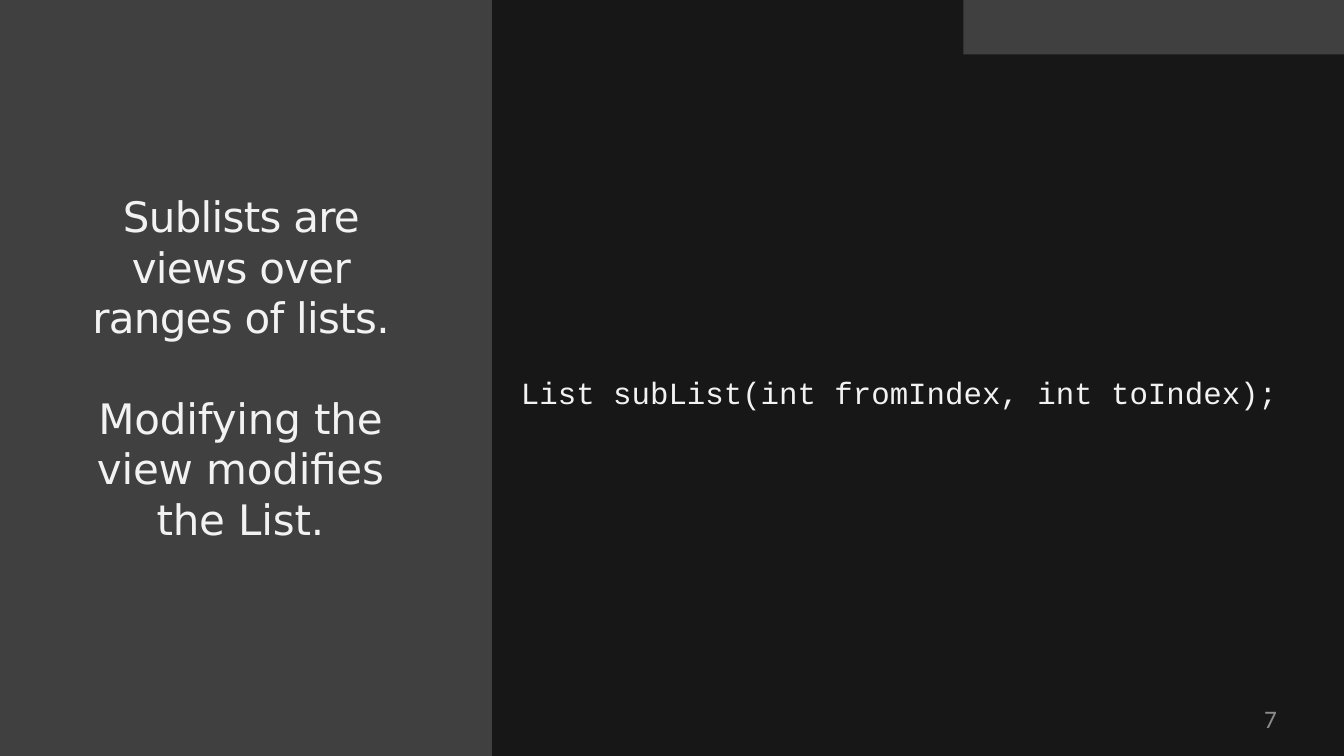
from pptx import Presentation
from pptx.dml.color import RGBColor
from pptx.enum.shapes import MSO_SHAPE as Shape
from pptx.enum.text import MSO_ANCHOR as Anchor, MSO_AUTO_SIZE as Fit, PP_ALIGN as Align
from pptx.util import Cm, Pt

WIDE, HIGH = 33.87, 19.05
GREY = RGBColor(0x40, 0x40, 0x40)
DARK = RGBColor(0x17, 0x17, 0x17)
PALE = RGBColor(0xF2, 0xF2, 0xF2)
DIM = RGBColor(0x8C, 0x8C, 0x8C)

NOTE = {"name": "DejaVu Sans", "size": Pt(30)}
CODE = {"name": "Courier New", "size": Pt(22)}
PAGE = {"name": "Calibri", "size": Pt(18)}


def paint(shape, color):
    shape.shadow.inherit = False
    shape.fill.solid()
    shape.fill.fore_color.rgb = color
    shape.line.fill.background()


def add_back(slide):
    back = slide.shapes.add_shape(Shape.RECTANGLE, 0, 0, Cm(WIDE), Cm(HIGH))
    paint(back, GREY)


def add_panel(slide):
    """Draw the dark panel, notched at its top right."""
    left, notch, step = 12.4, 24.28, 1.37
    spots = [(notch, step), (notch, 0), (left, 0), (left, HIGH), (WIDE, HIGH)]
    form = slide.shapes.build_freeform(Cm(WIDE), Cm(step))
    form.add_line_segments([(Cm(x), Cm(y)) for x, y in spots])
    paint(form.convert_to_shape(), DARK)


def set_text(shape, text, look, color=PALE, align=Align.LEFT, pad=0, track=0):
    """Fill a box; track is the letter spacing in points."""
    frame = shape.text_frame
    form = {
        "word_wrap": True,
        "auto_size": Fit.NONE,
        "vertical_anchor": Anchor.TOP,
        "margin_left": Cm(pad),
        "margin_right": Cm(pad),
        "margin_top": Cm(0.03),
        "margin_bottom": 0,
    }
    for key, value in form.items():
        setattr(frame, key, value)
    para = frame.paragraphs[0]
    para.alignment = align
    para.space_before = Pt(0)
    run = para.add_run()
    run.text = text
    for key, value in look.items():
        setattr(run.font, key, value)
    run.font.color.rgb = color
    if track:
        run._r.get_or_add_rPr().set("spc", str(round(track * 100)))


def add_text(slide, place, text, look, **more):
    box = slide.shapes.add_textbox(*map(Cm, place))
    set_text(box, text, look, **more)


def add_title(slide, place, text, look, **more):
    title = slide.shapes.title
    for key, value in zip(("left", "top", "width", "height"), place):
        setattr(title, key, Cm(value))
    set_text(title, text, look, **more)
    slide.shapes._spTree.append(title._element)


def main():
    deck = Presentation()
    deck.slide_width, deck.slide_height = Cm(WIDE), Cm(HIGH)
    slide = deck.slides.add_slide(deck.slide_layouts[5])
    add_back(slide)
    add_panel(slide)
    add_text(slide, (13.13, 9.4, 19.23, 0.99),
             "List subList(int fromIndex, int toIndex);", CODE)
    side = {"align": Align.CENTER, "pad": 0.3}
    add_title(slide, (1.45, 4.78, 9.25, 3.89),
              "Sublists are views over ranges of lists.", NOTE, track=-0.5, **side)
    add_text(slide, (1.45, 9.86, 9.22, 3.89),
             "Modifying the view modifies the List.", NOTE, track=-0.1, **side)
    add_text(slide, (24.38, 17.7, 7.8, 0.97), "7", PAGE, color=DIM, align=Align.RIGHT)
    deck.save("out.pptx")


if __name__ == "__main__":
    main()
